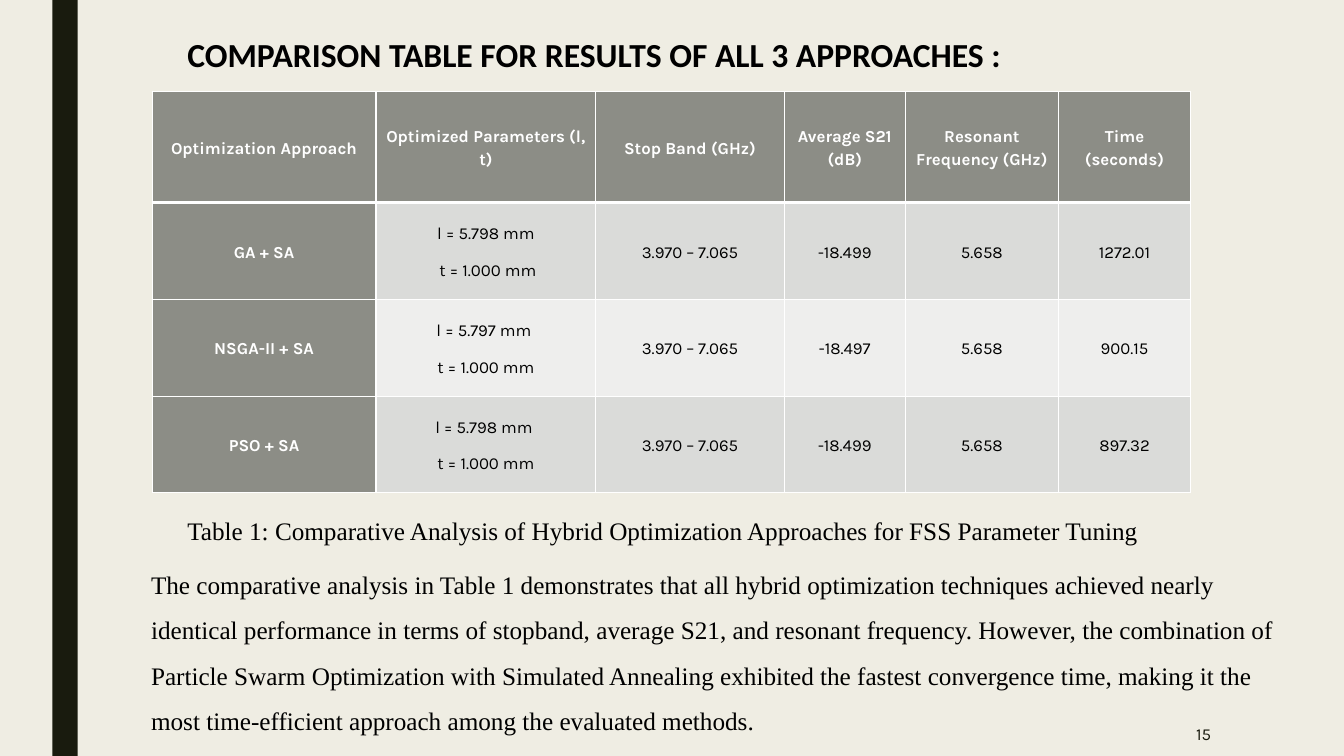
import pptx
import pptx.util
import pptx.dml.color
import pptx.enum.shapes
import pptx.enum.text
import pptx.oxml.ns
import lxml.etree

PX = 9144  # 100 px to the inch
RGBColor = pptx.dml.color.RGBColor
CREAM = RGBColor(0xEF, 0xED, 0xE3)
DARK = RGBColor(0x19, 0x1B, 0x0E)
BLACK = RGBColor(0, 0, 0)
WHITE = RGBColor(0xFF, 0xFF, 0xFF)
HEADER_GREY = RGBColor(0x8C, 0x8D, 0x86)
BANDS = (RGBColor(0xDA, 0xDB, 0xD9), RGBColor(0xEE, 0xEE, 0xED))

ALIGN = pptx.enum.text.PP_ALIGN
ANCHOR = pptx.enum.text.MSO_ANCHOR

COLUMN_WIDTHS = (222, 218, 187, 120, 152, 131)
ROW_HEIGHTS = (110, 96, 96, 96)
RESULTS = (
    ("Optimization Approach", "Optimized Parameters (l, t)", "Stop Band (GHz)",
     "Average S21 (dB)", "Resonant Frequency (GHz)", "Time (seconds)"),
    ("GA + SA", "l = 5.798 mm\n t = 1.000 mm", "3.970 – 7.065", "-18.499", "5.658", "1272.01"),
    ("NSGA-II + SA", "l = 5.797 mm \nt = 1.000 mm", "3.970 – 7.065", "-18.497", "5.658", "900.15"),
    ("PSO + SA", "l = 5.798 mm \nt = 1.000 mm", "3.970 – 7.065", "-18.499", "5.658", "897.32"),
)
TITLE = "COMPARISON TABLE FOR RESULTS OF ALL 3 APPROACHES :"
CAPTION = "Table 1: Comparative Analysis of Hybrid Optimization Approaches for FSS Parameter Tuning"
DISCUSSION = (
    "The comparative analysis in Table 1 demonstrates that all hybrid optimization techniques "
    "achieved nearly identical performance in terms of stopband, average S21, and resonant "
    "frequency. However, the combination of Particle Swarm Optimization with Simulated Annealing "
    "exhibited the fastest convergence time, making it the most time-efficient approach among "
    "the evaluated methods."
)


def px(*lengths):
    return [pptx.util.Emu(length * PX) for length in lengths]


def write(frame, text, size=12, font="Karla", color=BLACK, bold=False,
          align=ALIGN.LEFT, spacing=1.0, after=0):
    """Fill a text frame, one paragraph for each line of text."""
    for index, line in enumerate(text.split("\n")):
        para = frame.add_paragraph() if index else frame.paragraphs[0]
        para.alignment = align
        para.line_spacing = spacing
        para.space_after = pptx.util.Pt(after)
        span = para.add_run()
        span.text = line
        span.font.size = pptx.util.Pt(size)
        span.font.name = font
        span.font.bold = bold
        span.font.color.rgb = color


def add_text(page, box, text, anchor=ANCHOR.TOP, **style):
    frame = page.shapes.add_textbox(*px(*box)).text_frame
    frame.word_wrap = True
    frame.vertical_anchor = anchor
    write(frame, text, **style)


def add_borders(cell, widths):
    """Draw white cell borders; widths are points for left, right, top, bottom."""
    properties = cell._tc.get_or_add_tcPr()
    for index, (side, width) in enumerate(zip("LRTB", widths)):
        line = lxml.etree.Element(pptx.oxml.ns.qn(f"a:ln{side}"), w=str(pptx.util.Pt(width)))
        fill = lxml.etree.SubElement(line, pptx.oxml.ns.qn("a:solidFill"))
        lxml.etree.SubElement(fill, pptx.oxml.ns.qn("a:srgbClr"), val=str(WHITE))
        properties.insert(index, line)


def add_results_table(page, left, top):
    size = sum(COLUMN_WIDTHS), sum(ROW_HEIGHTS)
    table = page.shapes.add_table(len(ROW_HEIGHTS), len(COLUMN_WIDTHS),
                                  *px(left, top, *size)).table
    for column, width in zip(table.columns, px(*COLUMN_WIDTHS)):
        column.width = width
    for row, height in zip(table.rows, px(*ROW_HEIGHTS)):
        row.height = height

    for row, values in enumerate(RESULTS):
        for column, value in enumerate(values):
            cell = table.cell(row, column)
            heading = row == 0 or column == 0
            cell.fill.solid()
            cell.fill.fore_color.rgb = HEADER_GREY if heading else BANDS[(row - 1) % 2]
            cell.vertical_anchor = ANCHOR.MIDDLE
            cell.margin_left, cell.margin_right = px(7, 7)
            cell.margin_top = cell.margin_bottom = 0
            write(cell.text_frame, value, color=WHITE if heading else BLACK,
                  bold=heading, align=ALIGN.CENTER, spacing=1.15, after=10)
            # Thick rule between the header and the first result
            add_borders(cell, (1, 1, 3 if row == 1 else 1, 3 if row == 0 else 1))


def add_side_bar(page, box):
    bar = page.shapes.add_shape(pptx.enum.shapes.MSO_SHAPE.RECTANGLE, *px(*box))
    bar.shadow.inherit = False
    bar.fill.solid()
    bar.fill.fore_color.rgb = DARK
    bar.line.fill.background()


def add_comparison_page(deck):
    page = deck.slides.add_slide(deck.slide_layouts[6])
    page.background.fill.solid()
    page.background.fill.fore_color.rgb = CREAM

    # Frame of the page: side bar and page number
    add_side_bar(page, (52, 0, 25, 750))
    add_text(page, (1036, 706, 175, 44), "15", anchor=ANCHOR.MIDDLE,
             color=DARK, align=ALIGN.RIGHT)

    # Title, table with its caption, and discussion
    add_text(page, (176, 26, 885, 51), TITLE, size=24, font="Calibri",
             bold=True, spacing=1.07, after=2)
    add_results_table(page, 151, 91)
    add_text(page, (176, 502, 1060, 43), CAPTION, size=18,
             font="Times New Roman", spacing=1.15, after=10)
    add_text(page, (140, 545, 1144, 187), DISCUSSION, size=18,
             font="Times New Roman", spacing=1.5, after=10)


def main():
    deck = pptx.Presentation()
    deck.slide_width, deck.slide_height = px(1333, 750)
    add_comparison_page(deck)
    deck.save("out.pptx")


if __name__ == "__main__":
    main()
